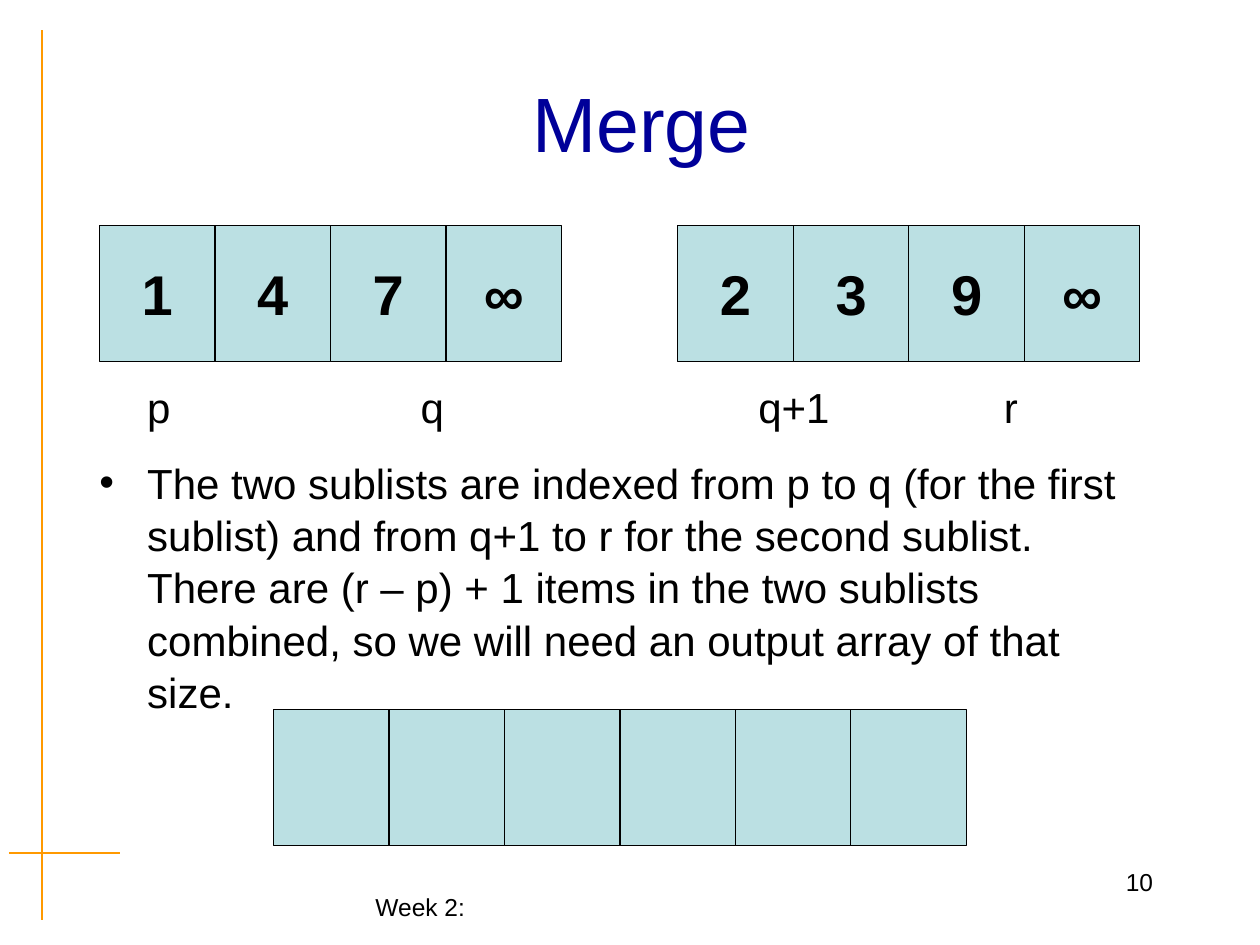
from lxml import etree
from pptx import Presentation
from pptx import util as u
from pptx.dml.color import RGBColor
from pptx.enum import shapes, text
from pptx.oxml.ns import qn

Inches = u.Inches
CELL_WIDTH = 11 / 12
CELL_HEIGHT = 1.08


def color(value):
    return RGBColor.from_string(value)


def style(paragraph, size, hue="000000", bold=False, align=text.PP_ALIGN.LEFT):
    paragraph.alignment = align
    font = paragraph.font
    font.name = "Arial"
    font.size = u.Pt(size)
    font.bold = bold
    font.color.rgb = color(hue)


def add_text_box(slide, left, top, width, height, anchor=text.MSO_ANCHOR.TOP):
    box = slide.shapes.add_textbox(Inches(left), Inches(top), Inches(width), Inches(height))
    frame = box.text_frame
    frame.word_wrap = True
    frame.vertical_anchor = anchor
    return frame


def add_caption(slide, left, top, width, height, words, size, align,
                hue="000000", anchor=text.MSO_ANCHOR.TOP):
    paragraph = add_text_box(slide, left, top, width, height, anchor).paragraphs[0]
    paragraph.text = words
    style(paragraph, size, hue, align=align)


def add_rule(slide, left, top, right, bottom):
    line = slide.shapes.add_connector(
        shapes.MSO_CONNECTOR.STRAIGHT, Inches(left), Inches(top), Inches(right), Inches(bottom))
    line.line.color.rgb = color("FF9900")
    line.line.width = u.Pt(1.19)
    etree.SubElement(line._element.spPr, qn("a:effectLst"))


def add_array(slide, left, top, values):
    for index, value in enumerate(values):
        cell = slide.shapes.add_shape(
            shapes.MSO_SHAPE.RECTANGLE, Inches(left + index * CELL_WIDTH), Inches(top),
            Inches(CELL_WIDTH), Inches(CELL_HEIGHT))
        cell.shadow.inherit = False
        cell.fill.solid()
        cell.fill.fore_color.rgb = color("BBE0E3")
        cell.line.color.rgb = color("000000")
        cell.line.width = u.Pt(0.75)
        if value:
            frame = cell.text_frame
            frame.word_wrap = False
            frame.vertical_anchor = text.MSO_ANCHOR.MIDDLE
            frame.text = value
            style(frame.paragraphs[0], 32, bold=True, align=text.PP_ALIGN.CENTER)


def add_body(slide, left, top, width, height, labels, explanation):
    frame = add_text_box(slide, left, top, width, height)
    indices = frame.paragraphs[0]
    indices.text = "".join("\t" + label for label in labels)
    indices.line_spacing = 1.04
    tabs = etree.SubElement(indices._p.get_or_add_pPr(), qn("a:tabLst"))
    for position in labels.values():
        etree.SubElement(tabs, qn("a:tab"), pos=str(Inches(position)), algn="l")
    style(indices, 24)

    bullet = frame.add_paragraph()
    bullet.text = explanation
    bullet.line_spacing = 1.04
    bullet.space_before = u.Pt(13.5)
    properties = bullet._p.get_or_add_pPr()
    properties.set("marL", str(Inches(0.38)))
    properties.set("indent", str(-Inches(0.38)))
    etree.SubElement(properties, qn("a:buFont"), typeface="Arial")
    etree.SubElement(properties, qn("a:buChar"), char="•")
    style(bullet, 24)


def main():
    presentation = Presentation()
    presentation.slide_width = Inches(10)
    presentation.slide_height = Inches(7.5)
    slide = presentation.slides.add_slide(presentation.slide_layouts[6])

    add_rule(slide, 0.33, 0.24, 0.33, 7.3)
    add_rule(slide, 0.07, 6.77, 0.95, 6.77)
    add_caption(slide, 0.88, 7.03, 4.91, 0.34, "Week 2:", 14, text.PP_ALIGN.CENTER)
    add_caption(slide, 7.17, 6.83, 2.08, 0.5, "10", 14, text.PP_ALIGN.RIGHT)
    add_caption(slide, 0.84, 0.34, 8.5, 1.25, "Merge", 44, text.PP_ALIGN.CENTER,
                "000099", text.MSO_ANCHOR.MIDDLE)
    add_body(slide, 0.69, 2.96, 8.5, 2.7,
             {"p": 0.38, "q": 2.55, "q+1": 5.23, "r": 7.18},
             "The two sublists are indexed from p to q (for the first sublist) and from q+1 "
             "to r for the second sublist. There are (r – p) + 1 items in the two sublists "
             "combined, so we will need an output array of that size.")
    add_array(slide, 0.79, 1.79, ["1", "4", "7", "∞"])
    add_array(slide, 5.38, 1.79, ["2", "3", "9", "∞"])
    add_array(slide, 2.17, 5.63, [""] * 6)

    presentation.save("out.pptx")


if __name__ == "__main__":
    main()
